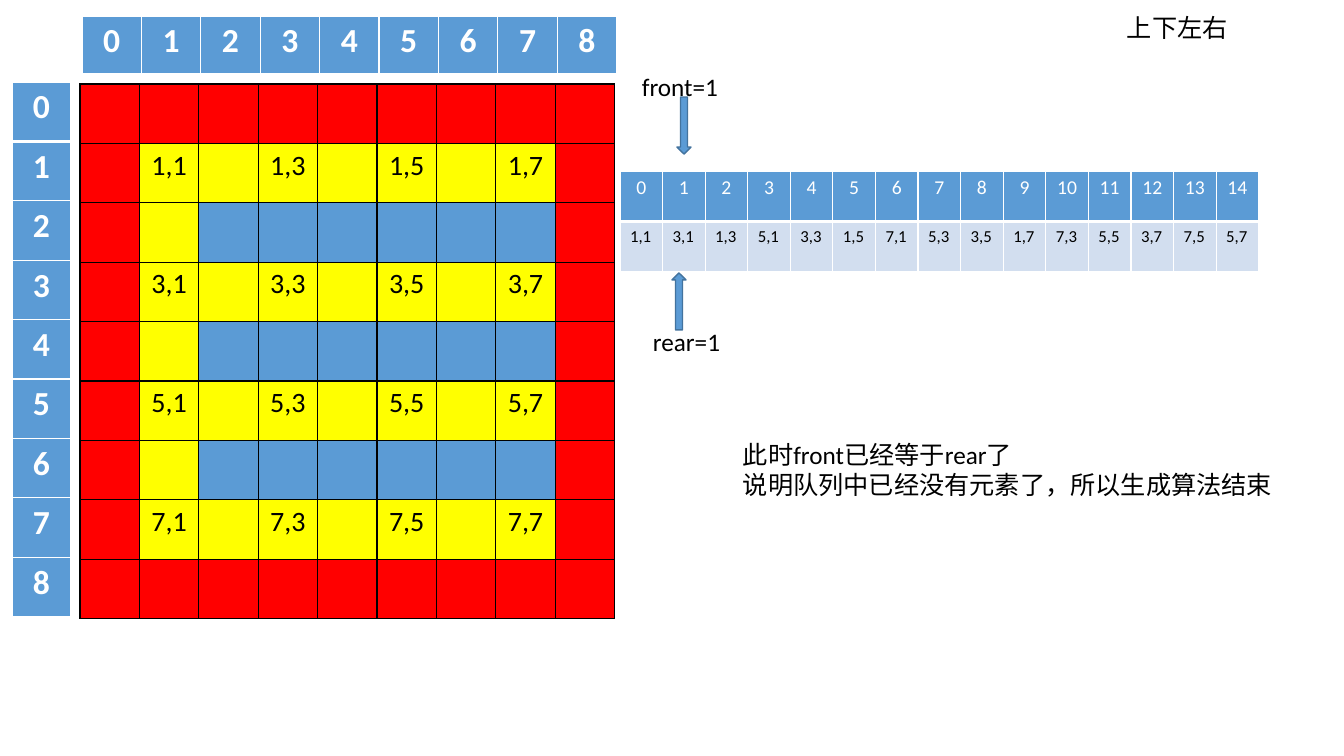
from dataclasses import dataclass
from itertools import product

from lxml.etree import SubElement
from pptx import Presentation
from pptx.dml.color import RGBColor
from pptx.enum.shapes import MSO_SHAPE
from pptx.enum.text import MSO_AUTO_SIZE, PP_ALIGN
from pptx.oxml.ns import qn
from pptx.util import Emu, Pt

WHITE = RGBColor(0xFF, 0xFF, 0xFF)
BLACK = RGBColor(0x00, 0x00, 0x00)
RED = RGBColor(0xFF, 0x00, 0x00)
YELLOW = RGBColor(0xFF, 0xFF, 0x00)
BLUE = RGBColor(0x5B, 0x9B, 0xD5)
DARK_BLUE = RGBColor(0x43, 0x73, 0x9E)
PALE_BLUE = RGBColor(0xD2, 0xDE, 0xEF)

FONT = "Calibri"
PIXELS_PER_INCH = 100.8
MAZE_SIZE = 9
ODD = range(1, MAZE_SIZE, 2)


@dataclass(frozen=True)
class Box:
    """A rectangle in whole pixels."""
    left: int
    top: int
    width: int
    height: int

    def emu(self) -> tuple[Emu, Emu, Emu, Emu]:
        """Return left, top, width and height in EMU."""
        return px(self.left), px(self.top), px(self.width), px(self.height)


@dataclass(frozen=True)
class Cell:
    """Content and look of one grid cell."""
    text: str
    fill: RGBColor
    size: int = 20
    color: RGBColor = BLACK
    bold: bool = False
    align: PP_ALIGN | None = PP_ALIGN.CENTER


@dataclass(frozen=True)
class Grid:
    """A table of equal cells, with an optional heavy rule below row 0."""
    box: Box
    rows: list[list[Cell]]
    border: RGBColor = WHITE
    header_rule: int = 3


@dataclass(frozen=True)
class Label:
    """Free text, one string per paragraph."""
    box: Box
    lines: tuple[str, ...]


@dataclass(frozen=True)
class Pointer:
    """A queue pointer: an arrow with its label."""
    arrow: Box
    rotation: int
    label: Label


def px(pixels: int) -> Emu:
    """Convert pixels to EMU."""
    return Emu(round(pixels * 914400 / PIXELS_PER_INCH))


def add_run(paragraph, text: str, size: int, color: RGBColor, bold: bool = False) -> None:
    """Append one styled run."""
    run = paragraph.add_run()
    run.text = text
    run.font.name = FONT
    run.font.size = Pt(size)
    run.font.bold = bold
    run.font.color.rgb = color


def set_borders(cell, color: RGBColor, top: int, bottom: int) -> None:
    """Draw the four cell borders; the sides are 1 pt wide."""
    properties = cell._tc.get_or_add_tcPr()
    sides = {"a:lnL": 1, "a:lnR": 1, "a:lnT": top, "a:lnB": bottom}
    for position, (tag, width) in enumerate(sides.items()):
        line = SubElement(properties, qn(tag), w=str(Pt(width)))
        fill = SubElement(line, qn("a:solidFill"))
        SubElement(fill, qn("a:srgbClr"), val=str(color))
        properties.insert(position, line)


def draw_grid(shapes, grid: Grid) -> None:
    """Draw a grid as a table."""
    row_count, column_count = len(grid.rows), len(grid.rows[0])
    table = shapes.add_table(row_count, column_count, *grid.box.emu()).table
    table.first_row = table.horz_banding = False
    for column in table.columns:
        column.width = Emu(px(grid.box.width) // column_count)
    for row in table.rows:
        row.height = Emu(px(grid.box.height) // row_count)
    for row, column in product(range(row_count), range(column_count)):
        content, cell = grid.rows[row][column], table.cell(row, column)
        cell.fill.solid()
        cell.fill.fore_color.rgb = content.fill
        set_borders(cell, grid.border,
                    top=grid.header_rule if row == 1 else 1,
                    bottom=grid.header_rule if row == 0 else 1)
        if content.text:
            paragraph = cell.text_frame.paragraphs[0]
            paragraph.alignment = content.align
            add_run(paragraph, content.text, content.size, content.color, content.bold)


def draw_label(shapes, label: Label) -> None:
    """Draw an unwrapped text box."""
    frame = shapes.add_textbox(*label.box.emu()).text_frame
    frame.word_wrap = False
    frame.auto_size = MSO_AUTO_SIZE.SHAPE_TO_FIT_TEXT
    for index, line in enumerate(label.lines):
        paragraph = frame.add_paragraph() if index else frame.paragraphs[0]
        add_run(paragraph, line, 18, BLACK)


def draw_pointer(shapes, pointer: Pointer) -> None:
    """Draw a pointer as a group of arrow and label."""
    group = shapes.add_group_shape().shapes
    arrow = group.add_shape(MSO_SHAPE.UP_ARROW, *pointer.arrow.emu())
    arrow.rotation = pointer.rotation
    arrow.shadow.inherit = False
    arrow.fill.solid()
    arrow.fill.fore_color.rgb = BLUE
    arrow.line.color.rgb = DARK_BLUE
    arrow.line.width = Pt(1)
    draw_label(group, pointer.label)


def maze_cell(row: int, column: int) -> Cell:
    """Return a red outer wall, a yellow passage or a blue inner wall."""
    if {row, column} & {0, MAZE_SIZE - 1}:
        return Cell("", RED)
    if row in ODD and column in ODD:
        return Cell(f"{row},{column}", YELLOW)
    return Cell("", YELLOW if row in ODD or column == 1 else BLUE)


def index_cell(index: int) -> Cell:
    """Return a row or column number of the maze."""
    return Cell(str(index), BLUE, 24, WHITE, bold=True)


maze = [[maze_cell(row, column) for column in range(MAZE_SIZE)] for row in range(MAZE_SIZE)]
indices = [index_cell(index) for index in range(MAZE_SIZE)]

# Rooms enter the queue diagonal by diagonal; the last room is never queued.
rooms = sorted(product(ODD, ODD), key=lambda room: (sum(room), room[1]))[:-1]
queue = [
    [Cell(str(index), BLUE, 14, WHITE) for index in range(len(rooms))],
    [Cell(f"{row},{column}", PALE_BLUE, 12, align=None) for row, column in rooms],
]

GRIDS = [
    Grid(Box(80, 84, 535, 535), maze, border=BLACK, header_rule=1),
    Grid(Box(82, 16, 535, 59), [indices]),
    Grid(Box(12, 82, 59, 535), [[cell] for cell in indices]),
    Grid(Box(620, 171, 639, 101), queue),
]
POINTERS = [
    Pointer(Box(677, 97, 14, 57), 180, Label(Box(632, 66, 98, 40), ("front=1",))),
    Pointer(Box(672, 273, 14, 57), 0, Label(Box(643, 321, 89, 40), ("rear=1",))),
]
LABELS = [
    Label(Box(733, 434, 554, 72),
          ("此时front已经等于rear了", "说明队列中已经没有元素了，所以生成算法结束")),
    Label(Box(1117, 7, 122, 40), ("上下左右",)),
]

presentation = Presentation()
presentation.slide_width, presentation.slide_height = px(1344), px(756)
slide = presentation.slides.add_slide(presentation.slide_layouts[6])
for grid in GRIDS:
    draw_grid(slide.shapes, grid)
for pointer in POINTERS:
    draw_pointer(slide.shapes, pointer)
for label in LABELS:
    draw_label(slide.shapes, label)
presentation.save("out.pptx")
